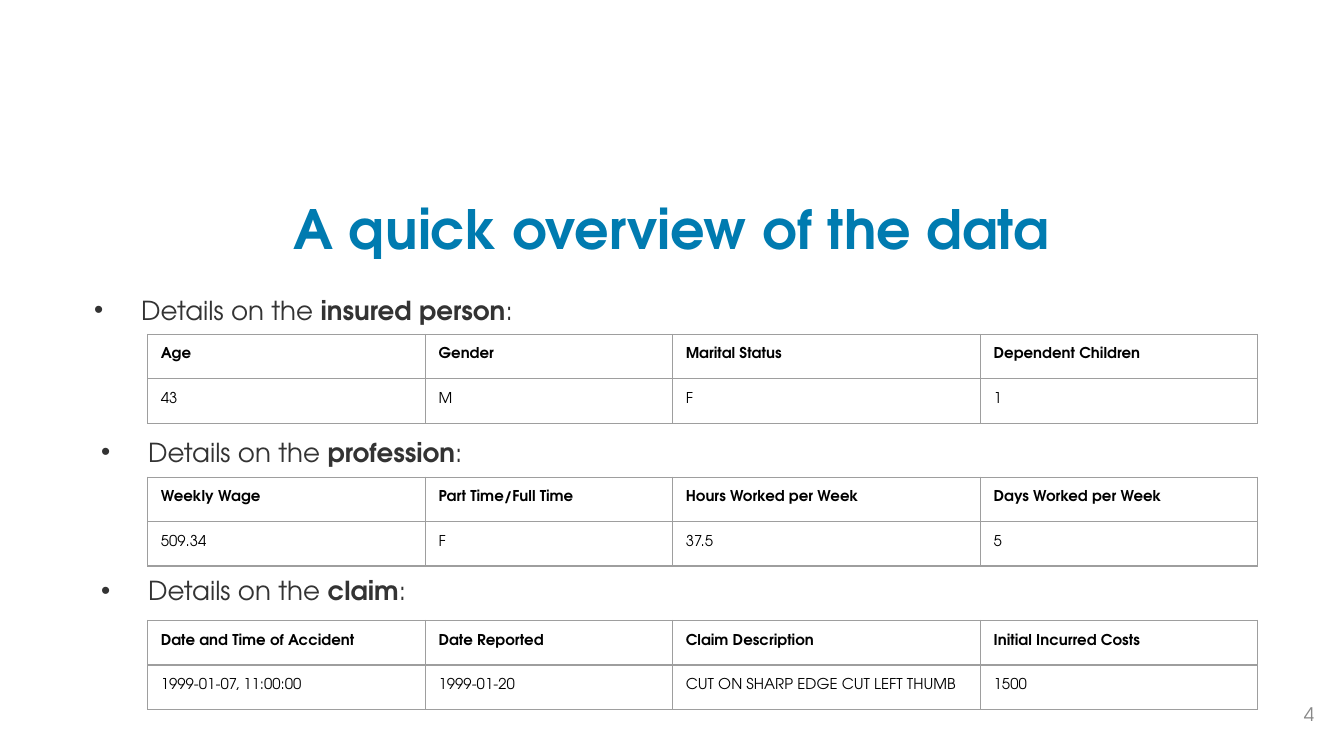
from lxml.etree import SubElement
from pptx import Presentation
from pptx.dml.color import RGBColor
from pptx.enum.text import MSO_ANCHOR, PP_ALIGN
from pptx.oxml.ns import qn
from pptx.util import Cm, Pt

FONT = "TeX Gyre Adventor"
BLUE = RGBColor(0x00, 0x7B, 0xB0)
DARK = RGBColor(0x33, 0x33, 0x33)
GRAY = RGBColor(0x88, 0x88, 0x88)
BLACK = RGBColor(0x00, 0x00, 0x00)
RULE = RGBColor(0x9E, 0x9E, 0x9E)

PAD = Cm(0.13)
COLS = [Cm(5.25), Cm(4.67), Cm(5.82), Cm(5.24)]

# Each part: topic, box of its bullet, top of its table, row heights, rows
PARTS = [
    ("insured person", (Cm(1.27), Cm(5.54), Cm(22.86), Cm(2.64)),
     Cm(6.32), (Cm(0.77), Cm(0.77)),
     [("Age", "Gender", "Marital Status", "Dependent Children"),
      ("43", "M", "F", "1")]),
    ("profession", (Cm(1.4), Cm(8.23), Cm(22.61), Cm(2.57)),
     Cm(9.02), (Cm(0.77), Cm(0.77)),
     [("Weekly Wage", "Part Time/Full Time", "Hours Worked per Week",
       "Days Worked per Week"),
      ("509.34", "F", "37.5", "5")]),
    ("claim", (Cm(1.4), Cm(10.85), Cm(22.61), Cm(2.57)),
     Cm(11.73), (Cm(0.77), Cm(0.84)),
     [("Date and Time of Accident", "Date Reported", "Claim Description",
       "Initial Incurred Costs"),
      ("1999-01-07, 11:00:00", "1999-01-20",
       "CUT ON SHARP EDGE CUT LEFT THUMB", "1500")]),
]


def style(font, size, color, bold=False):
    font.name = FONT
    font.size = Pt(size)
    font.bold = bold
    font.color.rgb = color


def inset(part, pad):
    part.margin_left = part.margin_right = pad
    part.margin_top = part.margin_bottom = pad


def add_title(slide, box, text):
    title = slide.shapes.title
    title.left, title.top, title.width, title.height = box
    frame = title.text_frame
    inset(frame, PAD)
    frame.vertical_anchor = MSO_ANCHOR.MIDDLE
    frame.text = text
    para = frame.paragraphs[0]
    para.alignment = PP_ALIGN.CENTER
    style(para.runs[0].font, 29, BLUE, True)


def add_bullet(slide, box, topic):
    frame = slide.shapes.add_textbox(*box).text_frame
    frame.word_wrap = True
    inset(frame, PAD)
    para = frame.paragraphs[0]
    para.line_spacing = 0.8

    # Hanging bullet
    props = para._p.get_or_add_pPr()
    props.set("marL", str(Cm(1.27)))
    props.set("indent", str(-Cm(0.89)))
    color = SubElement(props, qn("a:buClr"))
    SubElement(color, qn("a:srgbClr"), val=str(DARK))
    SubElement(props, qn("a:buFont"), typeface="Arial")
    SubElement(props, qn("a:buChar"), char="•")

    for text, bold in (("Details on the ", False), (topic, True), (":", False)):
        run = para.add_run()
        run.text = text
        style(run.font, 14, DARK, bold)


def add_border(cell):
    props = cell._tc.get_or_add_tcPr()
    for side in ("lnL", "lnR", "lnT", "lnB"):
        line = SubElement(props, qn(f"a:{side}"), w=str(Pt(0.75)))
        fill = SubElement(line, qn("a:solidFill"))
        SubElement(fill, qn("a:srgbClr"), val=str(RULE))


def add_grid(slide, box, highs, rows):
    table = slide.shapes.add_table(len(rows), len(COLS), *box).table
    table.first_row = table.horz_banding = False
    for col, width in zip(table.columns, COLS):
        col.width = width
    for row, high in zip(table.rows, highs):
        row.height = high
    for i, row in enumerate(rows):
        for j, text in enumerate(row):
            cell = table.cell(i, j)
            inset(cell, Cm(0.25))
            add_border(cell)
            cell.fill.background()
            cell.text_frame.text = text
            run = cell.text_frame.paragraphs[0].runs[0]
            style(run.font, 8, BLACK, i == 0)


def add_number(slide, box, text):
    frame = slide.shapes.add_textbox(*box).text_frame
    frame.word_wrap = False
    frame.vertical_anchor = MSO_ANCHOR.MIDDLE
    inset(frame, PAD)
    frame.text = text
    para = frame.paragraphs[0]
    para.alignment = PP_ALIGN.RIGHT
    style(para.runs[0].font, 10, GRAY)


def main():
    deck = Presentation()
    deck.slide_width, deck.slide_height = Cm(25.4), Cm(14.29)
    slide = deck.slides.add_slide(deck.slide_layouts.get_by_name("Title Only"))

    add_title(slide, (Cm(1.27), Cm(3.12), Cm(22.86), Cm(2.39)),
              "A quick overview of the data")
    for topic, box, top, highs, rows in PARTS:
        add_bullet(slide, box, topic)
        add_grid(slide, (Cm(2.79), top, sum(COLS), sum(highs)), highs, rows)
    add_number(slide, (Cm(24.49), Cm(13.16), Cm(0.48), Cm(0.69)), "4")

    deck.save("out.pptx")


if __name__ == "__main__":
    main()
